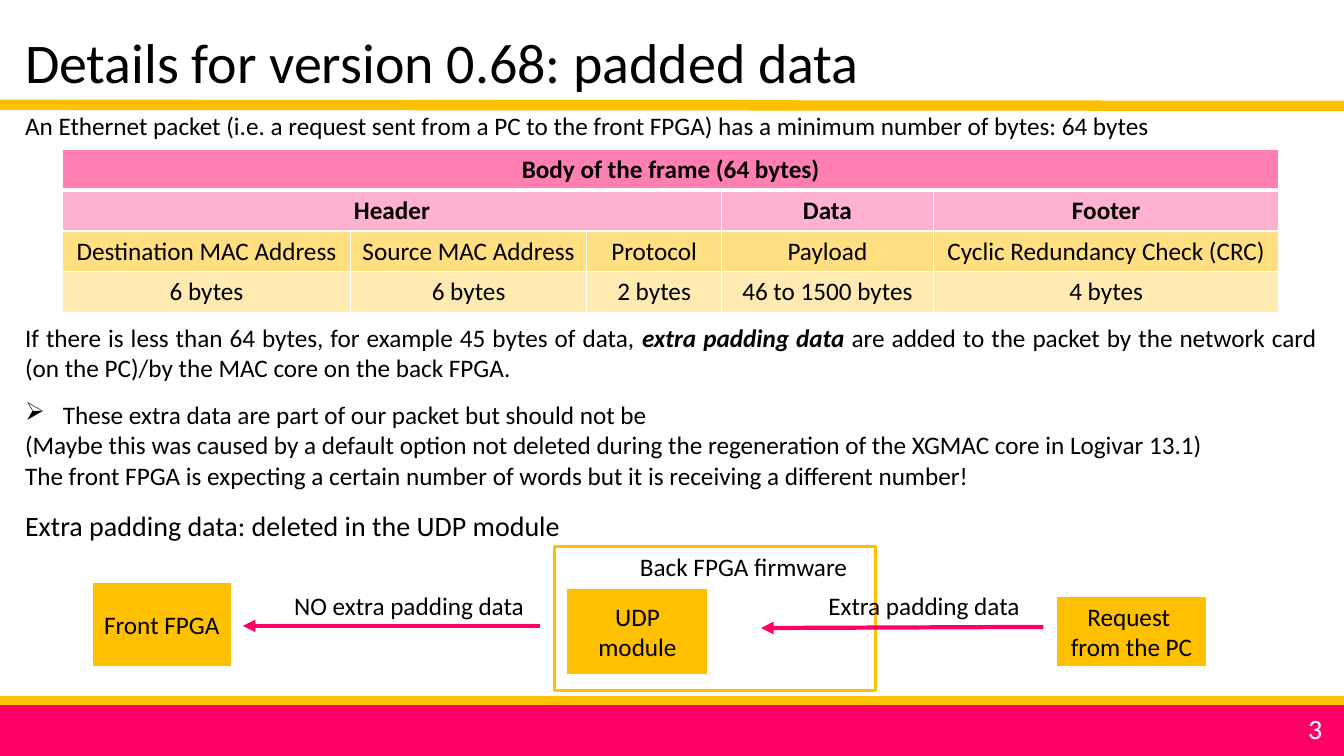
from dataclasses import dataclass

from lxml import etree
from pptx import Presentation
from pptx import util as u
from pptx.dml.color import RGBColor
from pptx.enum import shapes, text
from pptx.oxml import ns

Pt = u.Pt
ALIGN = text.PP_ALIGN


@dataclass(frozen=True)
class Theme:
    font: str = "Calibri"
    pink: str = "FF0066"
    amber: str = "FFC000"
    white: str = "FFFFFF"
    black: str = "000000"
    title: int = 40
    lead: int = 20
    body: int = 18


def add_xml(parent, tag, **attributes):
    return etree.SubElement(parent, ns.qn(tag), attributes)


class SlideBuilder:
    def __init__(self, slide, theme):
        self.slide = slide
        self.theme = theme

    def style(self, paragraph, size, color, align, bold=None):
        paragraph.alignment = align
        font = paragraph.font
        font.name = self.theme.font
        font.size = Pt(size)
        font.bold = bold
        font.color.rgb = RGBColor.from_string(color)

    def label(self, box, paragraphs, size=None, color=None, align=ALIGN.LEFT, wrap=True):
        left, top, width, height = map(Pt, box)
        frame = self.slide.shapes.add_textbox(left, top, width, height).text_frame
        frame.word_wrap = wrap
        frame.auto_size = text.MSO_AUTO_SIZE.SHAPE_TO_FIT_TEXT
        self.fill_text(frame, paragraphs, size, color, align)
        return frame

    def fill_text(self, frame, paragraphs, size=None, color=None, align=ALIGN.CENTER):
        for index, words in enumerate(paragraphs):
            paragraph = frame.paragraphs[0] if index == 0 else frame.add_paragraph()
            for position, part in enumerate(words.split("*")):
                run = paragraph.add_run()
                run.text = part
                if position % 2:
                    run.font.bold = run.font.italic = True
            self.style(paragraph, size or self.theme.body, color or self.theme.black, align)

    def bullet(self, paragraph, mark, indent, gap):
        properties = paragraph._p.get_or_add_pPr()
        properties.set("marL", str(Pt(indent)))
        properties.set("indent", str(-Pt(indent)))
        paragraph.space_before = Pt(gap)
        bullet = etree.Element(ns.qn("a:buChar"), {"char": mark})
        properties.find(ns.qn("a:spcBef")).addnext(bullet)

    def block(self, box, fill, line, weight, paragraphs=()):
        shape = self.slide.shapes.add_shape(shapes.MSO_SHAPE.RECTANGLE, *map(Pt, box))
        shape.shadow.inherit = False
        shape.fill.solid()
        shape.fill.fore_color.rgb = RGBColor.from_string(fill)
        shape.line.color.rgb = RGBColor.from_string(line)
        shape.line.width = Pt(weight)
        frame = shape.text_frame
        frame.word_wrap = True
        frame.vertical_anchor = text.MSO_ANCHOR.MIDDLE
        self.fill_text(frame, paragraphs)

    def line(self, start, end, color, weight, arrow=False):
        connector = self.slide.shapes.add_connector(
            shapes.MSO_CONNECTOR.STRAIGHT, *map(Pt, start + end))
        connector.line.color.rgb = RGBColor.from_string(color)
        connector.line.width = Pt(weight)
        if arrow:
            add_xml(connector.line._get_or_add_ln(), "a:tailEnd", type="triangle")
        add_xml(connector._element.spPr, "a:effectLst")

    def cell(self, cell, words, tint, bold, top, bottom):
        color, alpha = tint
        cell.fill.solid()
        cell.fill.fore_color.rgb = RGBColor.from_string(color)
        properties = cell._tc.get_or_add_tcPr()
        shade = properties.find(".//" + ns.qn("a:srgbClr"))
        add_xml(shade, "a:alpha", val=str(alpha * 1000))
        edges = {"a:lnL": 1, "a:lnR": 1, "a:lnT": top, "a:lnB": bottom}
        for index, (tag, weight) in enumerate(edges.items()):
            edge = etree.Element(ns.qn(tag), {"w": str(Pt(weight))})
            add_xml(add_xml(edge, "a:solidFill"), "a:srgbClr", val=self.theme.white)
            properties.insert(index, edge)
        if words:
            paragraph = cell.text_frame.paragraphs[0]
            paragraph.add_run().text = words
            self.style(paragraph, self.theme.body, self.theme.black, ALIGN.CENTER, bold)

    def table(self, left, top, widths, row_height, rows, tints, spans, heading_rows):
        table = self.slide.shapes.add_table(
            len(rows), len(widths), Pt(left), Pt(top),
            Pt(sum(widths)), Pt(row_height * len(rows))).table
        for column, width in zip(table.columns, widths):
            column.width = Pt(width)
        for row, words in enumerate(rows):
            table.rows[row].height = Pt(row_height)
            for column, entry in enumerate(words):
                self.cell(table.cell(row, column), entry, tints[row], row < heading_rows,
                          top=3 if row == 1 else 1, bottom=3 if row == 0 else 1)
        for row, last in spans:
            table.cell(row, 0).merge(table.cell(row, last))


def main():
    deck = Presentation()
    deck.slide_width, deck.slide_height = Pt(960), Pt(540)
    theme = Theme()
    page = SlideBuilder(deck.slides.add_slide(deck.slide_layouts[6]), theme)
    pink, amber, white = theme.pink, theme.amber, theme.white
    margin, text_width = 10.8, 936.7

    page.line((0, 76.3), (960, 77), amber, 4.5)
    page.block((0, 501.1, 960, 38.9), pink, pink, 1)
    page.line((0, 500.4), (960, 500.4), amber, 6)
    page.label((margin, 15.8, 616.3, 55.4), ["Details for version 0.68: padded data"],
               size=theme.title, wrap=False)
    page.line((0, 73.4), (960, 74.2), amber, 4.5)

    page.label((margin, 75, text_width, 29), [
        "An Ethernet packet (i.e. a request sent from a PC to the front FPGA) "
        "has a minimum number of bytes: 64 bytes"], align=ALIGN.JUSTIFY)
    padding = page.label((margin, 226.6, text_width, 129), [
        "If there is less than 64 bytes, for example 45 bytes of data, *extra padding data* "
        "are added to the packet by the network card (on the PC)/by the MAC core on the back FPGA.",
        "These extra data are part of our packet but should not be",
        "(Maybe this was caused by a default option not deleted during the regeneration "
        "of the XGMAC core in Logivar 13.1)",
        "The front FPGA is expecting a certain number of words but it is receiving "
        "a different number!"], align=ALIGN.JUSTIFY)
    page.bullet(padding.paragraphs[1], "➢", indent=27, gap=12)

    page.table(
        44.6, 106.6, [205.9, 168.5, 96.5, 151.2, 247], 29.2,
        rows=[
            ["Body of the frame (64 bytes)", "", "", "", ""],
            ["Header", "", "", "Data", "Footer"],
            ["Destination MAC Address", "Source MAC Address", "Protocol", "Payload",
             "Cyclic Redundancy Check (CRC)"],
            ["6 bytes", "6 bytes", "2 bytes", "46 to 1500 bytes", "4 bytes"],
        ],
        tints=[(pink, 50), (pink, 30), (amber, 50), (amber, 30)],
        spans=[(0, 4), (1, 2)], heading_rows=2)

    page.label((margin, 360, 837.4, 31.7), ["Extra padding data: deleted in the UDP module"],
               size=theme.lead)
    page.block((754.6, 425.5, 107.3, 51.1), amber, white, 1.5, ["Request ", "from the PC"])
    page.block((65.5, 415.4, 100.1, 61.2), amber, white, 1.5, ["Front FPGA"])
    page.block((396, 390.2, 229.7, 103), white, amber, 2.25)
    page.block((404.6, 419.8, 101.5, 62.6), amber, white, 1.5, ["UDP module"])
    page.label((450, 390.2, 164.2, 29), ["Back FPGA firmware"], wrap=False)
    page.line((745.2, 447.8), (543.6, 448.6), pink, 3, arrow=True)
    page.line((385.9, 447.1), (173.5, 447.1), pink, 3, arrow=True)
    page.label((584.6, 418.3, 160.6, 29), ["Extra padding data"])
    page.label((203, 418.3, 180.7, 29), ["NO extra padding data"], wrap=False)
    page.label((927.4, 504.7, 24.5, 31.7), ["3"], size=theme.lead, color=white, wrap=False)

    deck.save("out.pptx")


if __name__ == "__main__":
    main()
